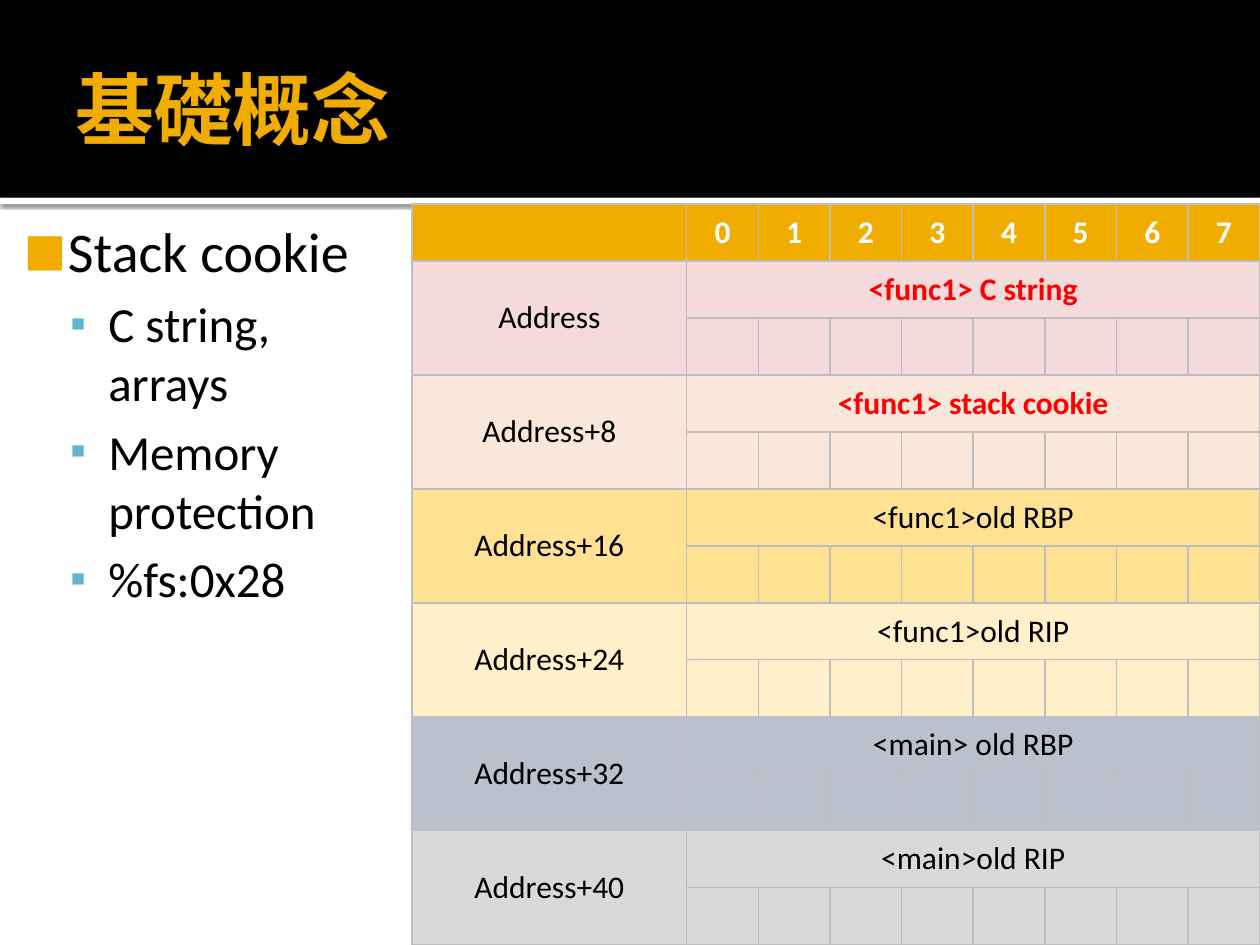
from dataclasses import dataclass

from lxml.etree import SubElement
from pptx import Presentation
from pptx.dml.color import RGBColor
from pptx.enum.shapes import MSO_SHAPE
from pptx.enum.text import MSO_ANCHOR, PP_ALIGN
from pptx.oxml.ns import qn
from pptx.util import Inches, Pt


@dataclass(frozen=True)
class Theme:
    font: str = "Calibri"
    gold: str = "F0AD00"
    blue: str = "60B5CC"
    black: str = "000000"
    white: str = "FFFFFF"
    red: str = "FF0000"
    border: str = "BEBEC1"
    title_size: int = 45
    topic_size: int = 32
    point_size: int = 28
    table_size: int = 18


THEME = Theme()

TITLE = "基礎概念"
TOPIC = "Stack cookie"
POINTS = ["C string, arrays", "Memory protection", "%fs:0x28"]
BYTES = 8
STACK = [
    ("<func1> C string", "F4DADA", True),
    ("<func1> stack cookie", "FAE7DC", True),
    ("<func1>old RBP", "FFE193", False),
    ("<func1>old RIP", "FFF0C9", False),
    ("<main> old RBP", "BAC0CC", False),
    ("<main>old RIP", "D9D9D9", False),
]


def add_element(parent, tag, **values):
    return SubElement(parent, qn(tag), {key: str(value) for key, value in values.items()})


class PageBuilder:
    def __init__(self, theme, page):
        self.theme = theme
        self.page = page

    def bar(self, left, top, width, height, color, shadow=False):
        bar = self.page.shapes.add_shape(
            MSO_SHAPE.RECTANGLE, Inches(left), Inches(top), Inches(width), Inches(height))
        bar.shadow.inherit = False
        bar.fill.solid()
        bar.fill.fore_color.rgb = RGBColor.from_string(color)
        bar.line.fill.background()
        if shadow:
            effects = bar._element.spPr.find(qn("a:effectLst"))
            outer = add_element(effects, "a:outerShdw", blurRad=Pt(2.5), dist=Pt(0.8),
                                dir=90 * 60000, algn="t", rotWithShape=0)
            shade = add_element(outer, "a:srgbClr", val=self.theme.black)
            add_element(shade, "a:alpha", val=60000)

    def text_box(self, left, top, width, height, margins, anchor):
        box = self.page.shapes.add_textbox(
            Inches(left), Inches(top), Inches(width), Inches(height))
        frame = box.text_frame
        frame.word_wrap = True
        frame.vertical_anchor = anchor
        for side, margin in zip(("left", "top", "right", "bottom"), margins):
            setattr(frame, f"margin_{side}", Inches(margin))
        return frame

    def span(self, para, text, size, color, bold=False):
        span = para.add_run()
        span.text = text
        style = {"name": self.theme.font, "size": Pt(size), "bold": bold}
        for name, value in style.items():
            setattr(span.font, name, value)
        span.font.color.rgb = RGBColor.from_string(color)

    def bullet(self, para, mark, color, scale, indent, hanging, space=0):
        properties = para._p.get_or_add_pPr()
        properties.set("marL", str(Inches(indent)))
        properties.set("indent", str(-Inches(hanging)))
        if space:
            before = add_element(properties, "a:spcBef")
            add_element(before, "a:spcPct", val=space * 1000)
        tint = add_element(properties, "a:buClr")
        add_element(tint, "a:srgbClr", val=color)
        add_element(properties, "a:buSzPct", val=scale * 1000)
        add_element(properties, "a:buFont", typeface=self.theme.font)
        add_element(properties, "a:buChar", char=mark)

    def title(self, text):
        frame = self.text_box(0.5, 0.17, 9, 1.37, (0.1, 0.05, 0.05, 0.05), MSO_ANCHOR.MIDDLE)
        self.span(frame.paragraphs[0], text, self.theme.title_size, self.theme.gold, True)

    def outline(self, topic, points):
        theme = self.theme
        frame = self.text_box(0, 1.62, 3.27, 5.88, (0.06, 0.1, 0.1, 0.05), MSO_ANCHOR.TOP)
        para = frame.paragraphs[0]
        self.bullet(para, "■", theme.gold, 80, 0.48, 0.35)
        self.span(para, topic, theme.topic_size, theme.black)
        for point in points:
            para = frame.add_paragraph()
            para.level = 1
            self.bullet(para, "▪", theme.blue, 90, 0.8, 0.3, space=20)
            self.span(para, point, theme.point_size, theme.black)

    def paint(self, cell, color):
        properties = cell._tc.get_or_add_tcPr()
        for side in "LRTB":
            line = add_element(properties, f"a:ln{side}", w=Pt(1))
            solid = add_element(line, "a:solidFill")
            add_element(solid, "a:srgbClr", val=self.theme.border)
        cell.fill.solid()
        cell.fill.fore_color.rgb = RGBColor.from_string(color)
        cell.vertical_anchor = MSO_ANCHOR.MIDDLE

    def label(self, cell, text, color, bold=False):
        para = cell.text_frame.paragraphs[0]
        para.alignment = PP_ALIGN.CENTER
        self.span(para, text, self.theme.table_size, color, bold)

    def stack_table(self, left, top, width, height, address_width, entries):
        theme = self.theme
        row_count = 1 + 2 * len(entries)
        table = self.page.shapes.add_table(
            row_count, 1 + BYTES, Inches(left), Inches(top), Inches(width), Inches(height)).table
        table.first_row = False
        table.horz_banding = False
        for row in table.rows:
            row.height = Inches(height / row_count)
        for index, column in enumerate(table.columns):
            column.width = Inches((width - address_width) / BYTES if index else address_width)

        fills = [theme.gold] + [fill for _, fill, _ in entries for _ in range(2)]
        for row, fill in zip(table.rows, fills):
            for cell in row.cells:
                self.paint(cell, fill)

        for byte in range(BYTES):
            self.label(table.cell(0, byte + 1), str(byte), theme.white, True)
        for index, (content, _, marked) in enumerate(entries):
            row = 1 + 2 * index
            address, value = table.cell(row, 0), table.cell(row, 1)
            address.merge(table.cell(row + 1, 0))
            value.merge(table.cell(row, BYTES))
            offset = f"+{index * BYTES}" if index else ""
            self.label(address, f"Address{offset}", theme.black)
            self.label(value, content, theme.red if marked else theme.black, marked)


def main():
    deck = Presentation()
    deck.slide_width, deck.slide_height = Inches(10), Inches(7.5)
    page = deck.slides.add_slide(deck.slide_layouts[6])
    builder = PageBuilder(THEME, page)
    builder.bar(0, 1.57, 10, 0.05, THEME.white, shadow=True)
    builder.bar(0, 0, 10, 1.57, THEME.black)
    builder.title(TITLE)
    builder.outline(TOPIC, POINTS)
    builder.stack_table(3.27, 1.62, 6.73, 5.88, 2.18, STACK)
    deck.save("out.pptx")


if __name__ == "__main__":
    main()
